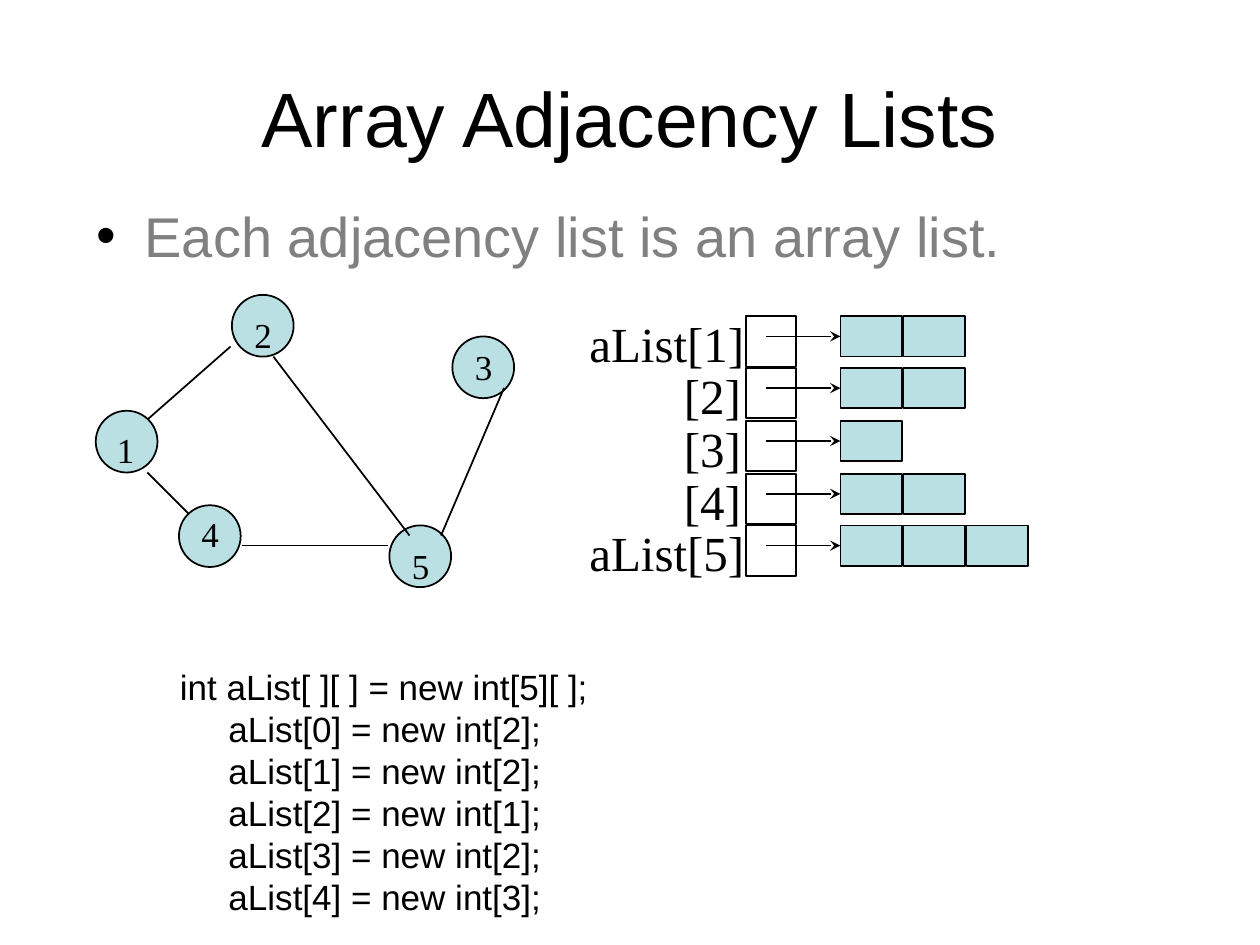
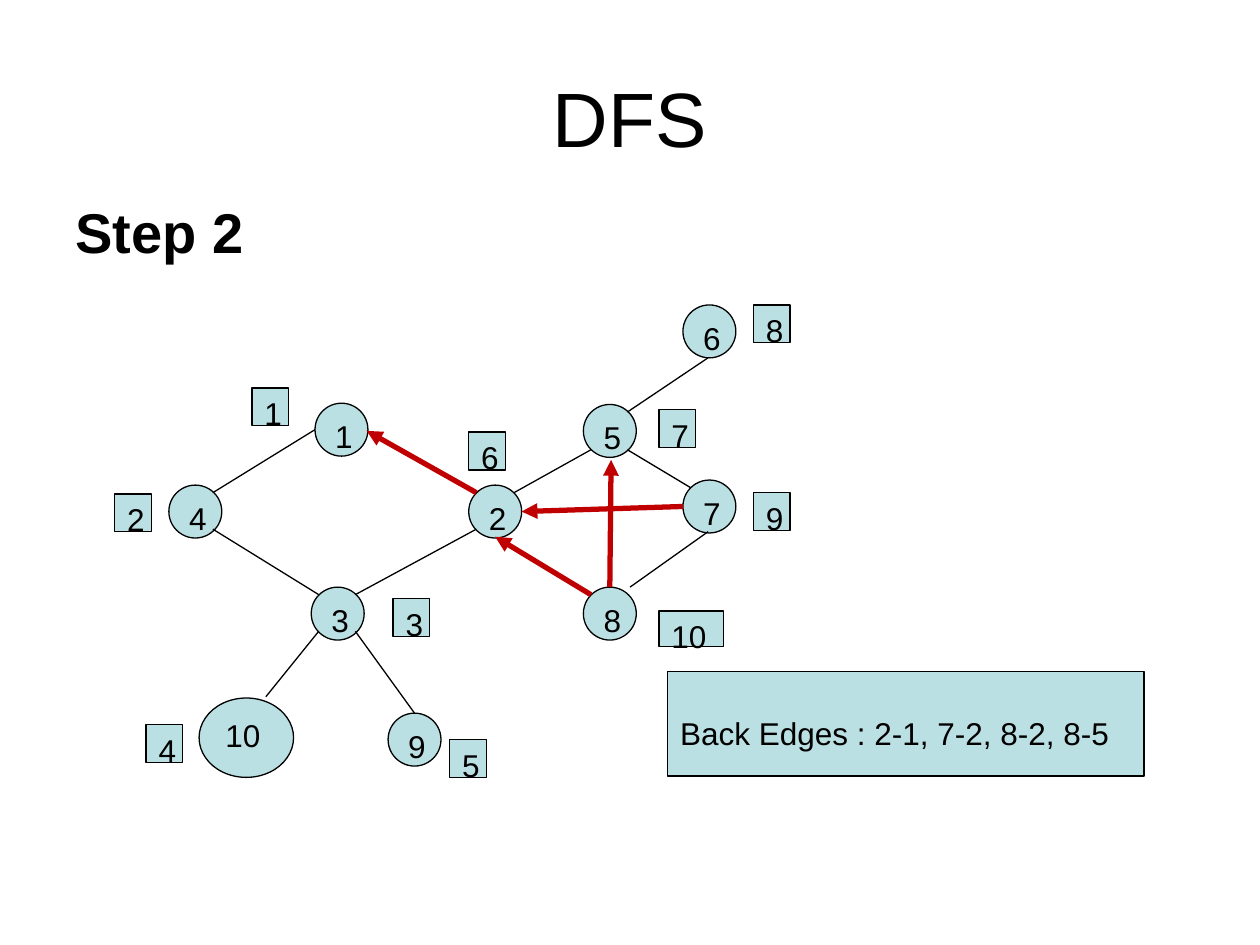
import pptx
import pptx.util
import pptx.dml.color
import pptx.enum.shapes
import pptx.enum.text
import pptx.oxml.ns
import lxml.etree

PX = 9144
BLACK = pptx.dml.color.RGBColor(0x00, 0x00, 0x00)
WHITE = pptx.dml.color.RGBColor(0xFF, 0xFF, 0xFF)
GREY = pptx.dml.color.RGBColor(0x80, 0x80, 0x80)
PALE_TEAL = pptx.dml.color.RGBColor(0xBB, 0xE0, 0xE3)
RED = pptx.dml.color.RGBColor(0xC0, 0x00, 0x00)
OVAL = pptx.enum.shapes.MSO_SHAPE.OVAL
RECTANGLE = pptx.enum.shapes.MSO_SHAPE.RECTANGLE
TOP = pptx.enum.text.MSO_ANCHOR.TOP
LEFT = pptx.enum.text.PP_ALIGN.LEFT
SERIF = "Times New Roman"
qn = pptx.oxml.ns.qn


def put(page, kind, place, text="", size=18, font="Arial", color=BLACK, fill=PALE_TEAL, width=0.75):
    left, top, across, down = [value * PX for value in place]
    if kind is None:
        box = page.shapes.add_textbox(left, top, across, down)
    else:
        box = page.shapes.add_shape(kind, left, top, across, down)
        box.shadow.inherit = False
        box.fill.solid()
        box.fill.fore_color.rgb = fill
        box.line.color.rgb = BLACK
        box.line.width = pptx.util.Pt(width)
    frame = box.text_frame
    frame.word_wrap = True
    frame.vertical_anchor = TOP
    frame.text = text
    for para in frame.paragraphs:
        para.alignment = LEFT
        for span in para.runs:
            span.font.name = font
            span.font.size = pptx.util.Pt(size)
            span.font.color.rgb = color
    return box


def connect(page, ends, color=BLACK, width=0.75, arrow=None):
    line = page.shapes.add_connector(
        pptx.enum.shapes.MSO_CONNECTOR.STRAIGHT, *[value * PX for value in ends])
    line.line.color.rgb = color
    line.line.width = pptx.util.Pt(width)
    properties = line._element.spPr
    if arrow:
        lxml.etree.SubElement(properties.find(qn("a:ln")), qn("a:tailEnd"), type=arrow)
    lxml.etree.SubElement(properties, qn("a:effectLst"))


deck = pptx.Presentation()
deck.slide_width = 1000 * PX
deck.slide_height = 750 * PX
pages = []
for title in ["Array Adjacency Lists", "DFS"]:
    page = deck.slides.add_slide(deck.slide_layouts[6])
    heading = put(page, None, (50, 30, 900, 125), title, 44)
    heading.text_frame.vertical_anchor = pptx.enum.text.MSO_ANCHOR.MIDDLE
    heading.text_frame.paragraphs[0].alignment = pptx.enum.text.PP_ALIGN.CENTER
    pages.append(page)
lists_page, search_page = pages

point = put(lists_page, None, (67, 155, 850, 58), "Each adjacency list is an array list.", 32, color=GREY)
para_properties = point.text_frame.paragraphs[0]._p.get_or_add_pPr()
para_properties.set("marL", str(38 * PX))
para_properties.set("indent", str(-38 * PX))
bullet_color = lxml.etree.SubElement(para_properties, qn("a:buClr"))
lxml.etree.SubElement(bullet_color, qn("a:srgbClr"), val=str(BLACK))
lxml.etree.SubElement(para_properties, qn("a:buFont"), typeface="Arial")
lxml.etree.SubElement(para_properties, qn("a:buChar"), char="•")

vertices = [
    ("1", 76, 326, 83, 333),
    ("2", 184, 234, 192, 242),
    ("3", 359, 267, 367, 267),
    ("4", 142, 401, 150, 400),
    ("5", 309, 417, 317, 425),
]
for name, left, top, label_left, label_top in vertices:
    put(lists_page, OVAL, (left, top, 49, 49), width=1)
for ends in [(183, 275, 117, 333), (217, 283, 325, 425), (117, 375, 150, 408),
             (400, 308, 350, 425), (192, 433, 308, 433)]:
    connect(lists_page, ends, width=1)
for name, left, top, label_left, label_top in vertices:
    put(lists_page, None, (label_left, label_top + 2, 25, 43), name, 20, SERIF)

rows = [("aList[1]", 2), ("[2]", 2), ("[3]", 1), ("[4]", 2), ("aList[5]", 3)]
for row, (label, length) in enumerate(rows):
    top = 251 + row * 125 // 3
    put(lists_page, RECTANGLE, (592, top, 40, 40), fill=WHITE, width=1)
    label_left, label_width = (458, 150) if label.startswith("a") else (533, 67)
    put(lists_page, None, (label_left, top - 7, label_width, 57), label, 28, SERIF)
    for column in range(length):
        put(lists_page, RECTANGLE, (667 + 50 * column, top, 49, 32), width=1)
    connect(lists_page, (608, top + 16, 667, top + 16), width=1, arrow="stealth")

code = ["int aList[ ][ ] = new int[5][ ];"]
for row, (label, length) in enumerate(rows):
    code.append(f"     aList[{row}] = new int[{length}];")
put(lists_page, None, (133, 523, 617, 243), "\n".join(code), 20)

step = put(search_page, None, (50, 152, 900, 58), "Step 2", 32)
step.text_frame.paragraphs[0].runs[0].font.bold = True

for name, left, top in [("1", 250, 320), ("4", 134, 385), ("9", 308, 566), ("3", 247, 466),
                        ("8", 463, 466), ("2", 372, 385), ("7", 542, 381), ("5", 463, 321),
                        ("6", 542, 242)]:
    put(search_page, OVAL, (left, top, 42, 42), name)
put(search_page, OVAL, (158, 554, 75, 63), "10")

tree_edges = [
    (250, 341, 169, 391), (169, 420, 253, 472), (282, 501, 329, 566),
    (253, 501, 211, 553), (282, 472, 378, 420), (408, 391, 469, 357),
    (498, 327, 562, 284), (498, 357, 548, 387), (562, 422, 500, 466),
]
for ends in tree_edges:
    connect(search_page, ends)
back_edges = [(378, 391, 291, 342), (542, 402, 414, 406), (469, 472, 393, 426), (484, 466, 485, 365)]
for ends in back_edges:
    connect(search_page, ends, RED, 3, "triangle")

summary = put(search_page, RECTANGLE, (530, 533, 378, 83), "Back Edges : 2-1, 7-2, 8-2, 8-5")
summary.text_frame.margin_top = 34 * PX

for order, left, top in [("1", 200, 308), ("6", 372, 343), ("2", 91, 392), ("3", 312, 475),
                         ("4", 116, 575), ("5", 357, 587), ("9", 598, 391), ("8", 598, 242),
                         ("7", 523, 325)]:
    put(search_page, RECTANGLE, (left, top, 29, 30), order)
put(search_page, RECTANGLE, (523, 485, 51, 28), "10")

deck.save("out.pptx")
